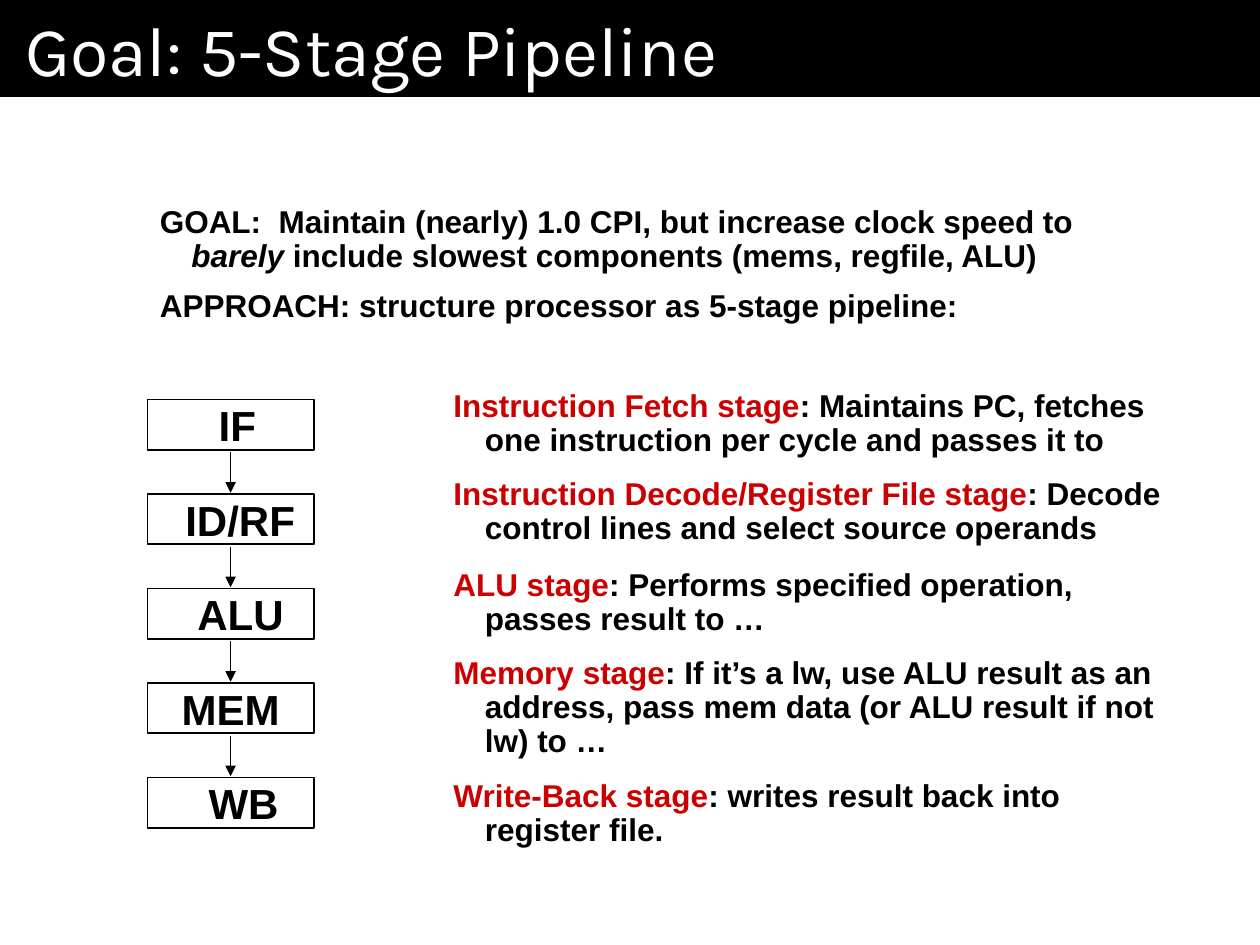
"""Build a slide that introduces the five-stage processor pipeline."""
from dataclasses import dataclass

from lxml import etree
from pptx import Presentation
from pptx import util as u
from pptx.dml.color import RGBColor
from pptx.enum import shapes, text
from pptx.oxml.ns import qn

SCALE = 9144
BLACK = RGBColor(0x00, 0x00, 0x00)
WHITE = RGBColor(0xFF, 0xFF, 0xFF)
RED = RGBColor(0xCC, 0x00, 0x00)
BOX_X, BOX_Y, BOX_W, BOX_H, PITCH = 117, 317, 132, 40, 75
ARROW_X, ARROW_START, ARROW_END = 183, 33, 1
HANGING = {"marL": 25 * SCALE, "indent": -25 * SCALE}


@dataclass(frozen=True)
class Run:
    text: str
    color: RGBColor = BLACK
    size: int = 18
    font: str = "Arial"
    bold: bool = True
    italic: bool = False


@dataclass(frozen=True)
class Stage:
    label: str
    label_x: int
    label_w: int
    name: str
    duty: str
    note_y: int
    note_w: int = 583
    note_h: int = 65
    align: text.PP_ALIGN = text.PP_ALIGN.RIGHT


GOAL = [
    [
        Run("GOAL:  Maintain (nearly) 1.0 CPI, but increase clock speed to "),
        Run("barely", italic=True),
        Run(" include slowest components (mems, regfile, ALU)"),
    ],
    [Run("APPROACH: structure processor as 5-stage pipeline:")],
]
STAGES = [
    Stage("IF", 163, 50, "Instruction Fetch stage",
          ": Maintains PC, fetches one instruction per cycle and passes it to", 305),
    Stage("ID/RF", 136, 108, "Instruction Decode/Register File stage",
          ": Decode control lines and select source operands", 375),
    Stage("ALU", 146, 89, "ALU stage",
          ": Performs specified operation, passes result to …", 447),
    Stage("MEM", 133, 100, "Memory stage",
          ": If it’s a lw, use ALU result as an address, pass mem data "
          "(or ALU result if not lw) to …", 517, note_h=92, align=text.PP_ALIGN.CENTER),
    Stage("WB", 155, 76, "Write-Back stage",
          ": writes result back into register file.", 614, note_w=569),
]


def px(*lengths: int) -> list[u.Emu]:
    return [u.Emu(n * SCALE) for n in lengths]


def set_all(obj, values: dict) -> None:
    for name, value in values.items():
        setattr(obj, name, value)


def add_run(p, run: Run) -> None:
    r = p.add_run()
    r.text = run.text
    set_all(r.font, {"name": run.font, "size": u.Pt(run.size),
                     "bold": run.bold, "italic": run.italic})
    r.font.color.rgb = run.color


def add_rect(s, x: int, y: int, w: int, h: int, fill: RGBColor, line: RGBColor | None = None):
    sp = s.shapes.add_shape(shapes.MSO_SHAPE.RECTANGLE, *px(x, y, w, h))
    sp.shadow.inherit = False
    sp.fill.solid()
    sp.fill.fore_color.rgb = fill
    if line is None:
        sp.line.fill.background()
    else:
        sp.line.color.rgb = line
        sp.line.width = u.Pt(1)
    return sp


def add_text(s, x: int, y: int, w: int, h: int, paragraphs: list[list[Run]],
             align: text.PP_ALIGN = text.PP_ALIGN.LEFT, wrap: bool = True) -> None:
    tf = s.shapes.add_textbox(*px(x, y, w, h)).text_frame
    set_all(tf, {"word_wrap": wrap, "auto_size": text.MSO_AUTO_SIZE.SHAPE_TO_FIT_TEXT})
    for i, runs in enumerate(paragraphs):
        p = tf.add_paragraph() if i else tf.paragraphs[0]
        set_all(p, {"alignment": align, "line_spacing": 0.9,
                    "space_before": u.Pt(9 if i else 0)})
        if wrap:
            for name, value in HANGING.items():
                p._p.get_or_add_pPr().set(name, str(value))
        for run in runs:
            add_run(p, run)


def add_arrow(s, x: int, top: int, bottom: int) -> None:
    c = s.shapes.add_connector(shapes.MSO_CONNECTOR.STRAIGHT, *px(x, top, x, bottom))
    c.line.color.rgb = BLACK
    c.line.width = u.Pt(1)
    etree.SubElement(c.line._get_or_add_ln(), qn("a:tailEnd"), type="triangle")
    etree.SubElement(c._element.spPr, qn("a:effectLst"))


def add_title(s, title: str) -> None:
    tf = add_rect(s, 0, 0, 1000, 77, BLACK).text_frame
    margin_x, margin_y = px(20, 5)
    set_all(tf, {"margin_left": margin_x, "margin_right": margin_x,
                 "margin_top": margin_y, "margin_bottom": margin_y,
                 "word_wrap": True, "vertical_anchor": text.MSO_ANCHOR.TOP})
    p = tf.paragraphs[0]
    p.alignment = text.PP_ALIGN.LEFT
    add_run(p, Run(title, WHITE, 40, "Karla", bold=False))


def add_stage(s, i: int, stage: Stage) -> None:
    y = BOX_Y + i * PITCH
    add_rect(s, BOX_X, y, BOX_W, BOX_H, WHITE, BLACK)
    add_text(s, stage.label_x, y, stage.label_w, 47, [[Run(stage.label, size=24)]],
             stage.align, wrap=False)
    if i:
        add_arrow(s, ARROW_X, y - ARROW_START, y - ARROW_END)
    add_text(s, 350, stage.note_y, stage.note_w, stage.note_h,
             [[Run(stage.name, RED), Run(stage.duty)]])


def main() -> None:
    prs = Presentation()
    prs.slide_width, prs.slide_height = px(1000, 750)
    s = prs.slides.add_slide(prs.slide_layouts[6])
    add_title(s, "Goal: 5-Stage Pipeline")
    add_text(s, 117, 159, 769, 107, GOAL)
    for i, stage in enumerate(STAGES):
        add_stage(s, i, stage)
    prs.save("out.pptx")


if __name__ == "__main__":
    main()
